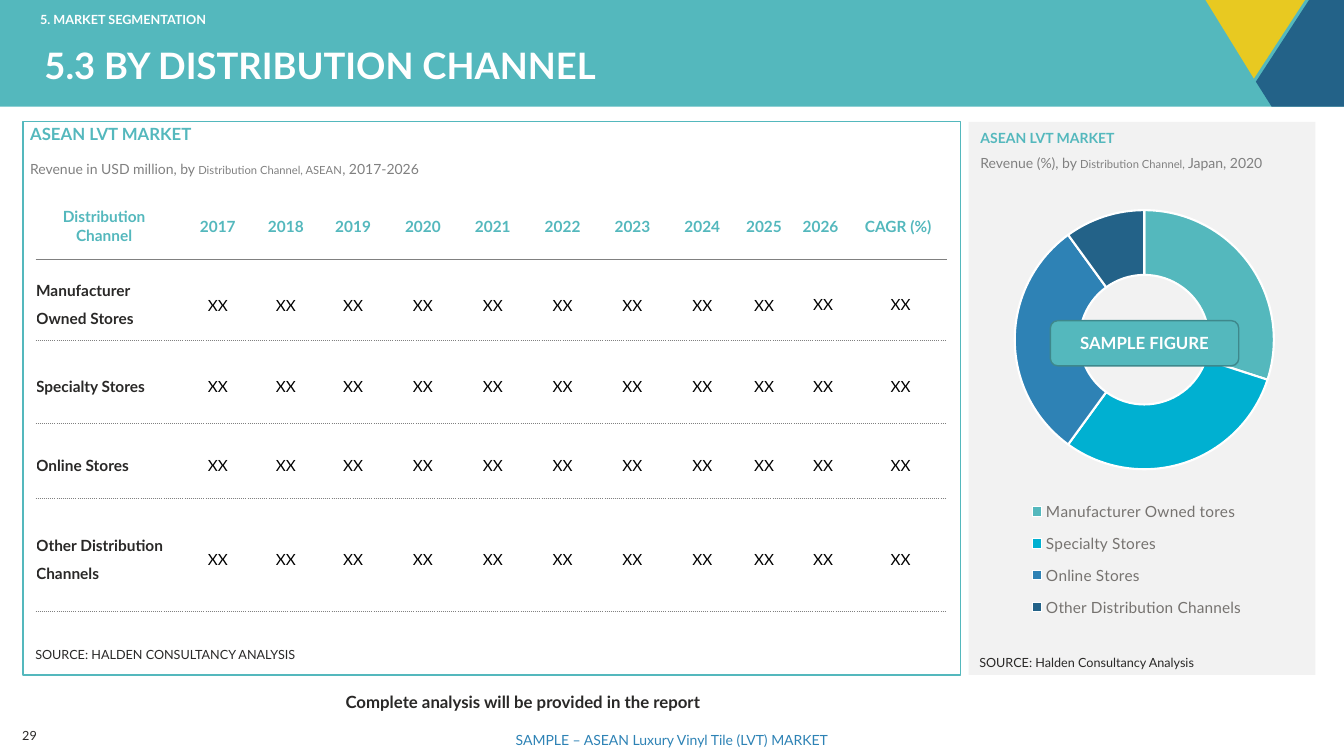
import pptx
import pptx.chart.data
import pptx.dml.color
import pptx.enum.chart
import pptx.enum.shapes
import pptx.enum.text
import pptx.oxml
import pptx.oxml.ns
import pptx.util

Cm, Pt = pptx.util.Cm, pptx.util.Pt
RGB = pptx.dml.color.RGBColor
ALIGN = pptx.enum.text.PP_ALIGN
ANCHOR = pptx.enum.text.MSO_ANCHOR
SHAPE = pptx.enum.shapes.MSO_SHAPE
qn = pptx.oxml.ns.qn

FONT = "Lato"
TEAL = RGB(0x54, 0xB8, 0xBD)
DARK_TEAL = RGB(0x3E, 0x88, 0x8C)
YELLOW = RGB(0xE8, 0xC9, 0x21)
NAVY = RGB(0x23, 0x62, 0x88)
CYAN = RGB(0x00, 0xB0, 0xD1)
BLUE = RGB(0x2E, 0x82, 0xB5)
FOOTER_BLUE = RGB(0x2D, 0x82, 0xB5)
INK = RGB(0x29, 0x28, 0x27)
BLACK = RGB(0, 0, 0)
GREY = RGB(0x80, 0x80, 0x80)
LEGEND_GREY = RGB(0x76, 0x73, 0x70)
PALE = RGB(0xF2, 0xF2, 0xF2)
WHITE = RGB(0xFF, 0xFF, 0xFF)

YEARS = [str(year) for year in range(2017, 2027)]
CHANNELS = ["Manufacturer Owned Stores", "Specialty Stores", "Online Stores",
            "Other Distribution Channels"]
COLUMN_WIDTHS = [3.68, 1.8, 1.63] + [1.76] * 6 + [1.35, 1.5, 2.41]
ROW_HEIGHTS = [1.7, 2.03, 2.08, 1.9, 2.84]
SHARES = [("Manufacturer Owned tores", 30, TEAL), ("Specialty Stores", 30, CYAN),
          ("Online Stores", 30, BLUE), ("Other Distribution Channels", 10, NAVY)]


def write(frame, text, size=10, color=INK, bold=False, align=ALIGN.LEFT, spacing=None):
    """Fill a text frame; text is a string or a list of (string, size) runs."""
    frame.word_wrap = True
    paragraph = frame.paragraphs[0]
    paragraph.alignment = align
    if spacing:
        paragraph.line_spacing = spacing
    for words, run_size in [(text, size)] if isinstance(text, str) else text:
        run = paragraph.add_run()
        run.text = words
        run.font.name, run.font.size = FONT, Pt(run_size)
        run.font.bold, run.font.color.rgb = bold, color


def set_margins(holder, left, top, right, bottom):
    holder.margin_left, holder.margin_top = Cm(left), Cm(top)
    holder.margin_right, holder.margin_bottom = Cm(right), Cm(bottom)


def add_text(slide, box, text, anchor=ANCHOR.TOP, padded=False, **style):
    frame = slide.shapes.add_textbox(*map(Cm, box)).text_frame
    frame.vertical_anchor = anchor
    if not padded:
        set_margins(frame, 0, 0, 0, 0)
    write(frame, text, **style)


def paint(shape, fill, line=None):
    shape.shadow.inherit = False
    shape.fill.solid()
    shape.fill.fore_color.rgb = fill
    if line is None:
        shape.line.fill.background()
    else:
        shape.line.color.rgb, shape.line.width = line, Pt(1)


def add_block(slide, box, fill, line=None, kind=SHAPE.RECTANGLE):
    block = slide.shapes.add_shape(kind, *map(Cm, box))
    paint(block, fill, line)
    return block


def add_polygon(slide, points, fill):
    first, *others = [(Cm(x), Cm(y)) for x, y in points]
    builder = slide.shapes.build_freeform(*first)
    builder.add_line_segments(others, close=True)
    paint(builder.convert_to_shape(), fill)


def add_title(slide, box, text):
    title = slide.shapes.title
    title.left, title.top, title.width, title.height = map(Cm, box)
    frame = title.text_frame
    frame.auto_size = pptx.enum.text.MSO_AUTO_SIZE.NONE
    frame.vertical_anchor = ANCHOR.TOP
    set_margins(frame, 0.18, 0, 0, 0)
    write(frame, text, size=26, color=WHITE, bold=True)
    slide.shapes._spTree.append(title._element)  # bring in front of the band


def set_border(cell, side, color, points, dash="solid"):
    """Add one cell border; call in the order lnL, lnR, lnT, lnB, before any fill."""
    cell._tc.get_or_add_tcPr().append(pptx.oxml.parse_xml(
        f'<a:{side} xmlns:a="http://schemas.openxmlformats.org/drawingml/2006/main" '
        f'w="{Pt(points)}"><a:solidFill><a:srgbClr val="{color}"/></a:solidFill>'
        f'<a:prstDash val="{dash}"/></a:{side}>'))


def format_cell(cell, row, column):
    for side in ("lnL", "lnR"):
        set_border(cell, side, WHITE, 1)
    if row > 0:
        set_border(cell, "lnT", GREY, 0.75, "solid" if row == 1 else "sysDot")
    set_border(cell, "lnB", GREY, 0.75, "solid" if row == 0 else "sysDot")
    cell.fill.background()
    cell.vertical_anchor = ANCHOR.MIDDLE
    if row == 0:
        set_margins(cell, 0 if column == 0 else 0.13, 0.25, 0.25 if column == 0 else 0.13, 0.25)
    elif column == 0:
        set_margins(cell, 0, 0.3, 0.25, 0.3)
    elif column < len(YEARS):
        set_margins(cell, 0.03, 0.03, 0.03, 0)
    else:
        set_margins(cell, 0.13, 0.3, 0, 0.3)


def add_revenue_table(slide, left, top):
    rows = [["Distribution Channel", *YEARS, "CAGR (%)"]]
    rows += [[channel] + ["XX"] * (len(YEARS) + 1) for channel in CHANNELS]
    table = slide.shapes.add_table(
        len(rows), len(rows[0]), Cm(left), Cm(top),
        Cm(sum(COLUMN_WIDTHS)), Cm(sum(ROW_HEIGHTS))).table
    table.first_row = table.horz_banding = False
    for column, width in zip(table.columns, COLUMN_WIDTHS):
        column.width = Cm(width)
    for r, (values, height) in enumerate(zip(rows, ROW_HEIGHTS)):
        table.rows[r].height = Cm(height)
        for c, value in enumerate(values):
            cell = table.cell(r, c)
            format_cell(cell, r, c)
            label = r > 0 and c == 0
            write(cell.text_frame, value, size=11, bold=r == 0 or label,
                  color=TEAL if r == 0 else INK if label else BLACK,
                  align=ALIGN.LEFT if label else ALIGN.CENTER,
                  spacing=1.5 if r else None)


def manual_layout(x, y, width, height, inner=False):
    target = '<c:layoutTarget val="inner"/>' if inner else ""
    return pptx.oxml.parse_xml(
        '<c:layout xmlns:c="http://schemas.openxmlformats.org/drawingml/2006/chart">'
        f'<c:manualLayout>{target}<c:xMode val="edge"/><c:yMode val="edge"/>'
        f'<c:x val="{x}"/><c:y val="{y}"/><c:w val="{width}"/><c:h val="{height}"/>'
        '</c:manualLayout></c:layout>')


def place(element, index, layout):
    for old in element.findall(qn("c:layout")):
        element.remove(old)
    element.insert(index, layout)


def add_share_chart(slide, box):
    data = pptx.chart.data.CategoryChartData()
    data.categories = [name for name, _, _ in SHARES]
    data.add_series("Series 1", [share for _, share, _ in SHARES])
    chart = slide.shapes.add_chart(
        pptx.enum.chart.XL_CHART_TYPE.DOUGHNUT, *map(Cm, box), data).chart
    chart.has_title = False
    chart.font.name, chart.font.size, chart.font.color.rgb = FONT, Pt(10), INK
    plot = chart.plots[0]
    plot.vary_by_categories = True
    for index, (_, _, color) in enumerate(SHARES):
        sector = plot.series[0].points[index].format
        sector.fill.solid()
        sector.fill.fore_color.rgb = color
        sector.line.color.rgb, sector.line.width = WHITE, Pt(1.5)
    chart.has_legend = True
    legend = chart.legend
    legend.position = pptx.enum.chart.XL_LEGEND_POSITION.BOTTOM
    legend.include_in_layout = False
    legend.font.name, legend.font.size = FONT, Pt(11)
    legend.font.color.rgb = LEGEND_GREY
    # Ring above, legend entries stacked below
    plot._element.find(qn("c:holeSize")).set("val", "60")
    place(plot._element.getparent(), 0, manual_layout(0.19, 0, 0.72, 0.62, inner=True))
    place(legend._element, 1, manual_layout(0.2, 0.65, 0.66, 0.32))


def main():
    deck = pptx.Presentation()
    deck.slide_width, deck.slide_height = Cm(33.87), Cm(19.05)
    slide = deck.slides.add_slide(deck.slide_layouts[5])

    # Footer
    add_text(slide, (2.77, 18.42, 28.32, 0.43), "SAMPLE – ASEAN Luxury Vinyl Tile (LVT) MARKET",
             anchor=ANCHOR.BOTTOM, color=FOOTER_BLUE, align=ALIGN.CENTER)
    add_text(slide, (0.56, 18.34, 0.69, 0.38), "29", size=9)

    # Panels and header band
    add_block(slide, (24.41, 3.07, 8.74, 13.94), PALE)
    add_block(slide, (0, 0, 33.87, 2.69), TEAL)
    add_polygon(slide, [(30.38, 0), (32.89, 0), (31.6, 1.98)], YELLOW)
    add_polygon(slide, [(32.99, 0), (33.87, 0), (33.87, 2.69), (32.05, 2.69), (31.65, 2.06)], NAVY)
    add_block(slide, (0.58, 3.07, 23.62, 13.94), WHITE, TEAL)
    add_title(slide, (0.94, 1.09, 29.44, 1.12), "5.3 BY DISTRIBUTION CHANNEL")
    add_text(slide, (0.76, 0.23, 29.44, 0.56), "5. MARKET SEGMENTATION", padded=True,
             size=9, color=WHITE, bold=True, spacing=0.9)

    # Share by channel
    add_text(slide, (24.71, 3.25, 9.07, 0.43), "ASEAN LVT MARKET",
             anchor=ANCHOR.BOTTOM, color=TEAL, bold=True)
    add_text(slide, (24.71, 3.89, 8.23, 0.43),
             [("Revenue (%), by ", 10), ("Distribution Channel, ", 8), ("Japan, 2020", 10)],
             anchor=ANCHOR.BOTTOM, color=GREY)
    add_share_chart(slide, (23.85, 5.13, 9.07, 11.07))
    badge = add_block(slide, (26.47, 8.08, 4.75, 1.14), TEAL, DARK_TEAL, SHAPE.ROUNDED_RECTANGLE)
    write(badge.text_frame, "SAMPLE FIGURE", size=12, color=WHITE, bold=True, align=ALIGN.CENTER)
    add_text(slide, (24.43, 16.43, 9.78, 0.51), "SOURCE: Halden Consultancy Analysis",
             padded=True, size=9, spacing=0.9)

    # Revenue by channel
    add_text(slide, (0.76, 3.12, 13.56, 0.51), "ASEAN LVT MARKET",
             anchor=ANCHOR.BOTTOM, size=12, color=TEAL, bold=True)
    add_text(slide, (0.76, 4.04, 14.96, 0.43),
             [("Revenue in USD million, by ", 10), ("Distribution Channel, ASEAN", 8),
              (", 2017-2026", 10)], anchor=ANCHOR.BOTTOM, color=GREY)
    add_revenue_table(slide, 0.91, 4.85)
    add_text(slide, (0.64, 16.21, 16.13, 0.43), "SOURCE: HALDEN CONSULTANCY ANALYSIS",
             padded=True, size=9, spacing=0.9)
    add_text(slide, (8.71, 17.48, 10.01, 0.46), "Complete analysis will be provided in the report",
             size=12, bold=True, spacing=0.9)

    deck.save("out.pptx")


main()
